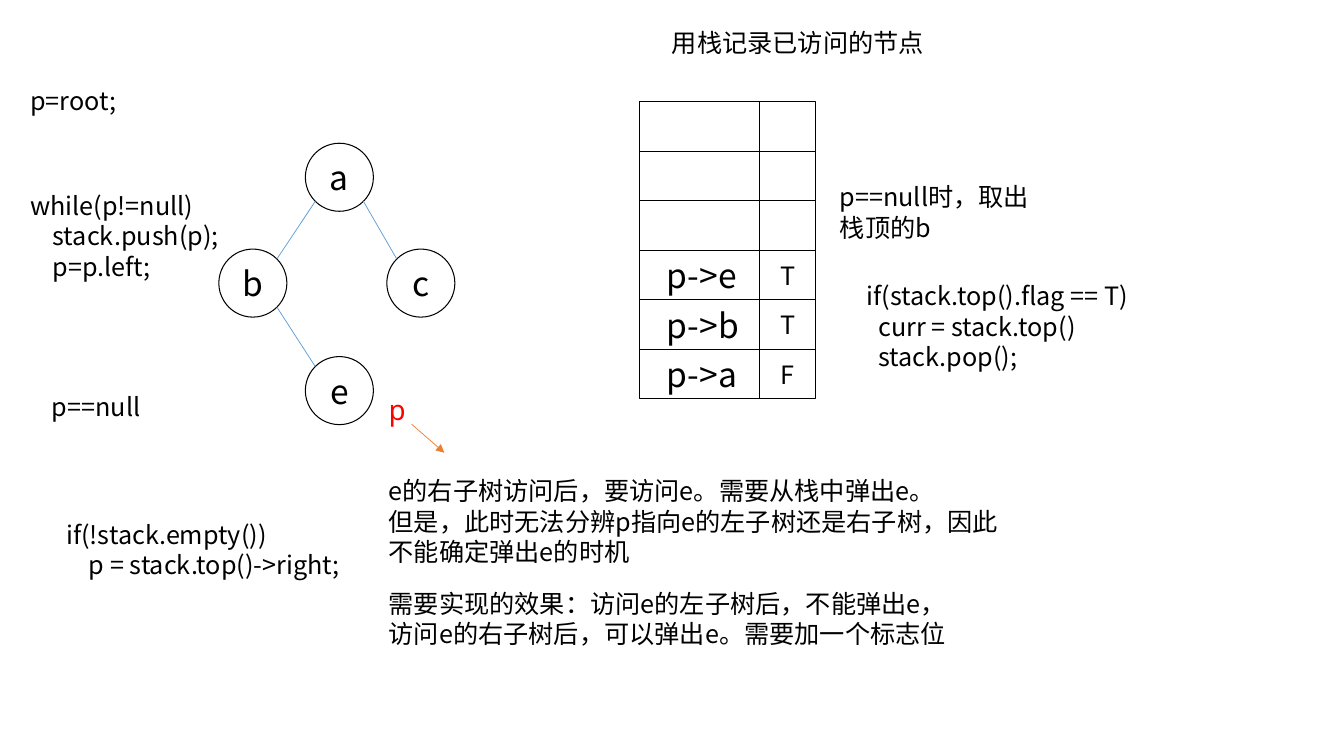
from dataclasses import dataclass
from math import sqrt

from lxml import etree
from pptx import Presentation
from pptx.dml.color import RGBColor
from pptx.enum.shapes import MSO_CONNECTOR, MSO_SHAPE
from pptx.enum.text import MSO_ANCHOR, MSO_AUTO_SIZE, PP_ALIGN
from pptx.oxml.ns import qn
from pptx.util import Inches, Pt

OVAL, BOX = MSO_SHAPE.OVAL, MSO_SHAPE.RECTANGLE
STRAIGHT = MSO_CONNECTOR.STRAIGHT
TOP, MIDDLE = MSO_ANCHOR.TOP, MSO_ANCHOR.MIDDLE
LEFT, CENTER = PP_ALIGN.LEFT, PP_ALIGN.CENTER
FIXED = MSO_AUTO_SIZE.NONE


@dataclass(frozen=True)
class Theme:
    font: str = "Noto Sans CJK SC"
    mono: str = "Noto Sans Mono"
    ink: RGBColor = RGBColor(0, 0, 0)
    pointer: RGBColor = RGBColor(0xFF, 0, 0)
    edge: RGBColor = RGBColor(0x5B, 0x9B, 0xD5)
    arrow: RGBColor = RGBColor(0xED, 0x7D, 0x31)
    body: int = 18
    mark: int = 20
    label: int = 24
    leading: float = 1.21
    outline: float = 0.75
    thin: float = 0.5


theme = Theme()

# The slide is a grid of 160 columns by 90 rows of square cells.
COLUMNS, ROWS = 160, 90
CELL = Inches(7.5) / ROWS

deck = Presentation()
deck.slide_width, deck.slide_height = round(COLUMNS * CELL), round(ROWS * CELL)
slide = deck.slides.add_slide(deck.slide_layouts[5])
shapes = slide.shapes


def grid(*cells):
    """Turn grid cells into slide lengths."""
    return [round(cell * CELL) for cell in cells]


def write(frame, lines, size=theme.body, color=theme.ink, font=theme.font,
          align=LEFT, anchor=TOP):
    """Fill a text frame with (indent in cells, text) lines."""
    frame.word_wrap, frame.auto_size = True, FIXED
    frame.vertical_anchor = anchor
    for number, (indent, text) in enumerate(lines):
        paragraph = frame.add_paragraph() if number else frame.paragraphs[0]
        paragraph.alignment = align
        paragraph.line_spacing = Pt(size * theme.leading)
        paragraph._p.get_or_add_pPr().set("marL", str(grid(indent)[0]))
        run = paragraph.add_run()
        run.text = text
        run.font.size, run.font.name = Pt(size), font
        run.font.color.rgb = color
        etree.SubElement(run._r.get_or_add_rPr(), qn("a:ea"), typeface=font)


# Title
title = shapes.title
title.left, title.top, title.width, title.height = grid(78.8, 2.6, 33.2, 4.8)
write(title.text_frame, [(0, "用栈记录已访问的节点")])

# Code fragments and remarks
passages = [
    ((2.4, 9.5, 12.7, 4.8), [(0, "p=root;")]),
    ((2.4, 22, 29.5, 12.1),
     [(0, "while(p!=null)"), (2.7, "stack.push(p);"), (2.7, "p=p.left;")]),
    ((5, 46, 15.6, 4.8), [(0, "p==null")]),
    ((6.7, 61.2, 39.2, 8.5),
     [(0, "if(!stack.empty())"), (2.7, "p = stack.top()->right;")]),
    ((98.8, 21, 27.6, 8.5), [(0, "p==null时，取出栈顶的b")]),
    ((102, 32.8, 47.9, 12.1),
     [(0, "if(stack.top().flag == T)"), (1.4, "curr = stack.top()"),
      (1.4, "stack.pop();")]),
    ((45.1, 56, 75, 12.1),
     [(0, "e的右子树访问后，要访问e。需要从栈中弹出e。"),
      (0, "但是，此时无法分辨p指向e的左子树还是右子树，因此不能确定弹出e的时机")]),
    ((45.1, 69.4, 84.1, 8.5),
     [(0, "需要实现的效果：访问e的左子树后，不能弹出e，"),
      (0, "访问e的右子树后，可以弹出e。需要加一个标志位")]),
]
for place, lines in passages:
    write(shapes.add_textbox(*grid(*place)).text_frame, lines)

pointer = shapes.add_textbox(*grid(45.1, 46.1, 5.6, 5.3))
write(pointer.text_frame, [(0, "p")], theme.mark, theme.pointer, theme.mono)

# Outlined figures: tree nodes, then stack cells with their flags
RADIUS = 4.05
centers = {"a": (40.4, 21.1), "b": (30.1, 33.7), "c": (50.1, 33.7), "e": (40.4, 46.5)}
figures = [(OVAL, (x - RADIUS, y - RADIUS, 2 * RADIUS, 2 * RADIUS),
            node, theme.label, CENTER, 0)
           for node, (x, y) in centers.items()]

STACK_LEFT, STACK_TOP, ENTRY_WIDTH, FLAG_WIDTH, LEVEL = 76.1, 12.1, 14.3, 6.7, 5.9
stack = [("", "")] * 3 + [("p->e", "T"), ("p->b", "T"), ("p->a", "F")]
for level, (entry, flag) in enumerate(stack):
    top = STACK_TOP + level * LEVEL
    figures += [
        (BOX, (STACK_LEFT, top, ENTRY_WIDTH, LEVEL), entry, theme.label, LEFT, 3.3),
        (BOX, (STACK_LEFT + ENTRY_WIDTH, top, FLAG_WIDTH, LEVEL),
         flag, theme.body, LEFT, 2.5),
    ]

for outline, place, label, size, align, inset in figures:
    figure = shapes.add_shape(outline, *grid(*place))
    figure.shadow.inherit = False
    figure.fill.background()
    figure.line.color.rgb, figure.line.width = theme.ink, Pt(theme.outline)
    frame = figure.text_frame
    frame.margin_left = grid(inset)[0]
    frame.margin_right = frame.margin_top = frame.margin_bottom = 0
    if label:
        write(frame, [(0, label)], size, align=align, anchor=MIDDLE)

# Tree edges run between the diagonal points of the nodes
DIAGONAL = RADIUS / sqrt(2)
links = []
for parent, child, side in [("a", "b", -1), ("a", "c", 1), ("b", "e", 1)]:
    (px, py), (cx, cy) = centers[parent], centers[child]
    links.append(((px + side * DIAGONAL, py + DIAGONAL,
                   cx - side * DIAGONAL, cy - DIAGONAL), theme.edge, False))
links.append(((49, 50.5, 52.9, 53.9), theme.arrow, True))

for ends, color, pointed in links:
    link = shapes.add_connector(STRAIGHT, *grid(*ends))
    link.line.color.rgb, link.line.width = color, Pt(theme.thin)
    if pointed:
        etree.SubElement(link.line._get_or_add_ln(), qn("a:tailEnd"), type="triangle")
    etree.SubElement(link._element.spPr, qn("a:effectLst"))

deck.save("out.pptx")
